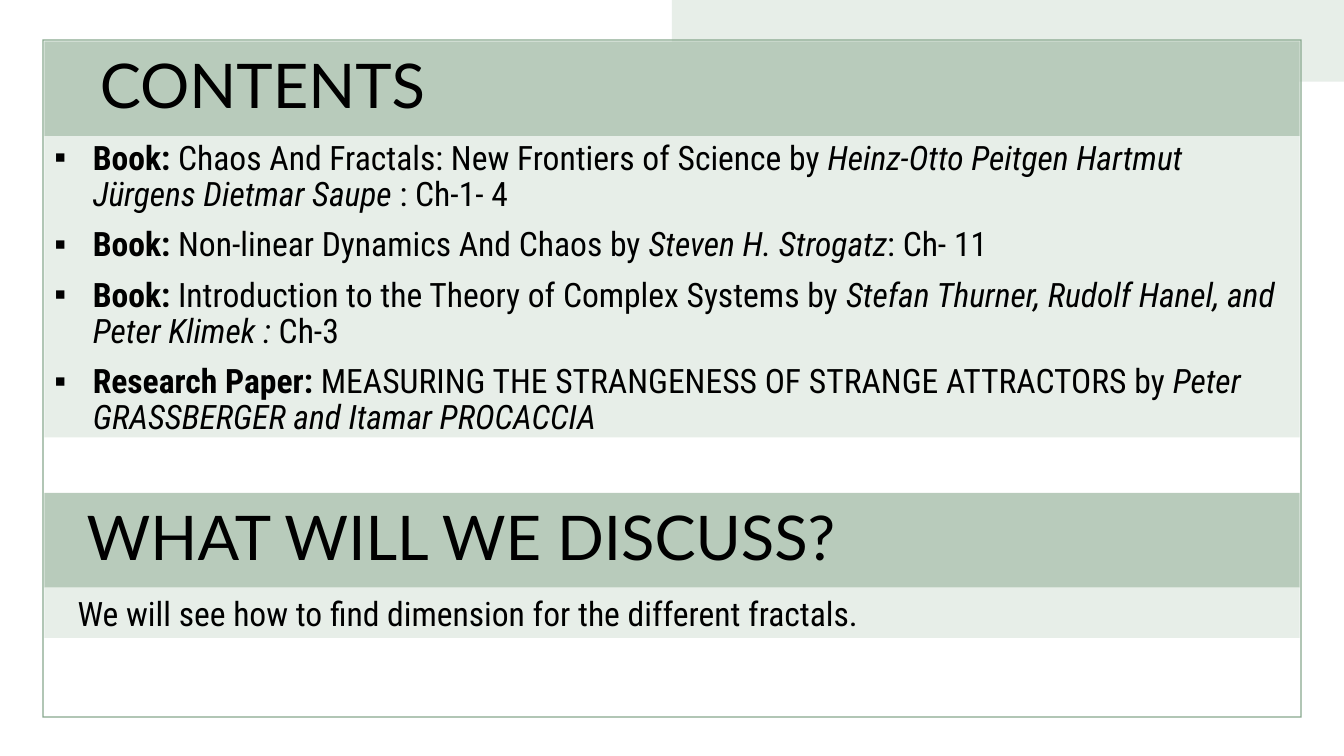
import pptx
import pptx.util
import pptx.dml.color
import pptx.enum.shapes
import pptx.enum.text
import pptx.oxml
import pptx.oxml.ns

Inches, Pt = pptx.util.Inches, pptx.util.Pt
RGBColor = pptx.dml.color.RGBColor
RECTANGLE = pptx.enum.shapes.MSO_SHAPE.RECTANGLE
ANCHOR = pptx.enum.text.MSO_ANCHOR

BLACK = RGBColor(0x00, 0x00, 0x00)
PALE = RGBColor(0xE7, 0xEE, 0xE8)
SAGE = RGBColor(0xB8, 0xCB, 0xBB)
MOSS = RGBColor(0x88, 0xA8, 0x8E)

WIDTH, HEIGHT = 13.33, 7.5
LEFT, BAND_WIDTH = 0.44, 12.45
HEADING_HEIGHT = 0.94

deck = pptx.Presentation()
deck.slide_width, deck.slide_height = Inches(WIDTH), Inches(HEIGHT)
slide = deck.slides.add_slide(deck.slide_layouts[1])
shapes = slide.shapes


def add_block(kind, left, top, width, height, color):
    block = shapes.add_shape(kind, Inches(left), Inches(top), Inches(width), Inches(height))
    block.shadow.inherit = False
    block.fill.solid()
    block.fill.fore_color.rgb = color
    block.line.fill.background()
    return block


def style_text(block, font_name, size, inset, anchor):
    frame = block.text_frame
    frame.word_wrap = True
    frame.auto_size = pptx.enum.text.MSO_AUTO_SIZE.NONE
    frame.vertical_anchor = anchor
    frame.margin_left = Inches(inset)
    for paragraph in frame.paragraphs:
        paragraph.alignment = pptx.enum.text.PP_ALIGN.LEFT
        paragraph.line_spacing = 0.9
        paragraph.font.name = font_name
        paragraph.font.size = Pt(size)
        paragraph.font.color.rgb = BLACK


# Corner block and thin frame, behind the text
corner = add_block(RECTANGLE, WIDTH / 2, 0, WIDTH / 2, 0.81, PALE)
border = add_block(pptx.enum.shapes.MSO_SHAPE.FRAME, 0.42, 0.39, 12.49, 6.73, MOSS)
border.adjustments[0] = 0.002
for depth, backdrop in enumerate((corner, border), start=2):
    shapes._spTree.insert(depth, backdrop._element)

# Contents: heading and list in the placeholders
contents, sources = shapes.title, slide.placeholders[1]
for band, top, height, color in ((contents, 0.41, HEADING_HEIGHT, SAGE),
                                 (sources, 1.35, 2.99, PALE)):
    band.left, band.top = Inches(LEFT), Inches(top)
    band.width, band.height = Inches(BAND_WIDTH), Inches(height)
    band.fill.solid()
    band.fill.fore_color.rgb = color
contents.text_frame.text = "CONTENTS"
style_text(contents, "Lato", 44, 0.55, ANCHOR.MIDDLE)

# Each source: kind, work, authors, chapters
SOURCES = [
    ("Book: ", "Chaos And Fractals: New Frontiers of Science by ",
     "Heinz-Otto Peitgen Hartmut Jürgens Dietmar Saupe", " : Ch-1- 4"),
    ("Book: ", "Non-linear Dynamics And Chaos by ", "Steven H. Strogatz", ": Ch- 11"),
    ("Book:", " Introduction to the Theory of Complex Systems by ",
     "Stefan Thurner, Rudolf Hanel, and Peter Klimek : ", "Ch-3"),
    ("Research Paper: ", "MEASURING THE STRANGENESS OF STRANGE ATTRACTORS by ",
     "Peter GRASSBERGER and Itamar PROCACCIA", ""),
]
for number, source in enumerate(SOURCES):
    entry = sources.text_frame.paragraphs[0] if number == 0 else sources.text_frame.add_paragraph()
    entry.space_before = Pt(10 if number else 0)
    properties = entry._p.get_or_add_pPr()
    properties.set("marL", str(Inches(0.38)))
    properties.set("indent", str(-Inches(0.38)))
    bullet = pptx.oxml.parse_xml(f'<a:buChar {pptx.oxml.ns.nsdecls("a")} char="▪"/>')
    properties.append(bullet)
    for part, wording in enumerate(source):
        if wording:
            run = entry.add_run()
            run.text = wording
            run.font.bold = part == 0
            run.font.italic = part == 2
style_text(sources, "Roboto Condensed", 24, 0.1, ANCHOR.TOP)

# Discussion: heading and statement
discussion = add_block(RECTANGLE, LEFT, 4.89, BAND_WIDTH, HEADING_HEIGHT, SAGE)
discussion.text_frame.text = "WHAT WILL WE DISCUSS?"
style_text(discussion, "Lato", 44, 0.42, ANCHOR.MIDDLE)

aim = add_block(RECTANGLE, LEFT, 4.89 + HEADING_HEIGHT, BAND_WIDTH, 0.5, PALE)
aim.text_frame.text = "We will see how to find dimension for the different fractals."
style_text(aim, "Roboto Condensed", 24, 0.33, ANCHOR.TOP)
aim.text_frame.paragraphs[0].line_spacing = 1.0

deck.save("out.pptx")
